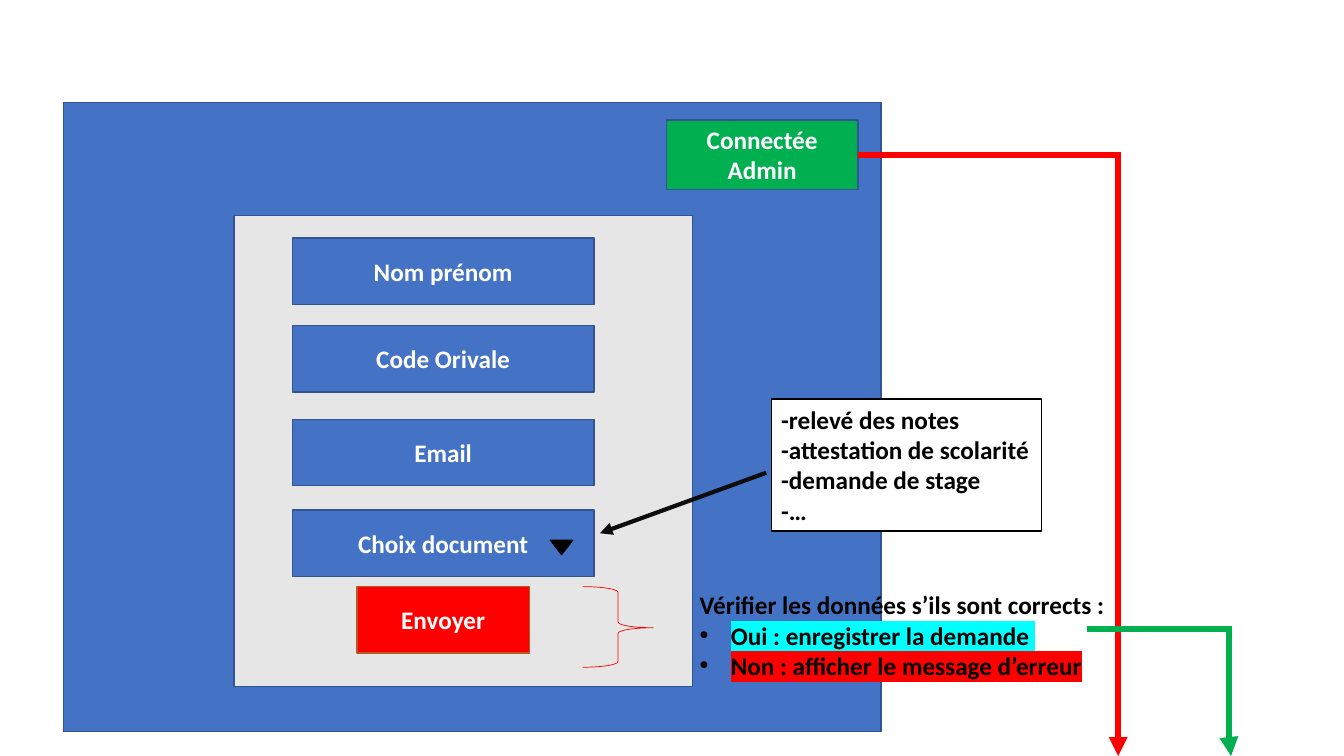
from dataclasses import dataclass

from lxml.etree import SubElement
from pptx import Presentation
from pptx.dml.color import RGBColor
from pptx.enum.shapes import MSO_CONNECTOR, MSO_SHAPE
from pptx.enum.text import MSO_ANCHOR, MSO_AUTO_SIZE, PP_ALIGN
from pptx.oxml.ns import qn
from pptx.util import Emu, Pt

SCALE = 9144  # EMU in one px, at 100 px to the inch


@dataclass(frozen=True)
class Theme:
    font: str = "Calibri"
    size: int = 18
    blue: str = "4472C4"
    edge: str = "325491"
    grey: str = "E7E6E6"
    green: str = "00B050"
    red: str = "FF0000"
    rust: str = "AF5C24"
    cyan: str = "00FFFF"
    white: str = "FFFFFF"
    black: str = "000000"
    ink: str = "0D0D0D"


def px(*nums):
    return [Emu(num * SCALE) for num in nums]


def rgb(code):
    return RGBColor.from_string(code)


def write(para, text, font, size, color, align=PP_ALIGN.LEFT, mark=None, bullet=False):
    """Put one bold run in a paragraph; mark is the highlight colour."""
    para.alignment = align
    run = para.add_run()
    run.text = text
    run.font.name, run.font.size, run.font.bold = font, Pt(size), True
    run.font.color.rgb = rgb(color)
    if mark:
        fill = run.font._element.find(qn("a:solidFill"))
        light = SubElement(run.font._element, qn("a:highlight"))
        SubElement(light, qn("a:srgbClr"), val=mark)
        fill.addnext(light)
    if bullet:
        props = para._p.get_or_add_pPr()
        indent = px(31)[0]
        props.set("marL", str(indent))
        props.set("indent", str(-indent))
        SubElement(props, qn("a:buFont"), typeface="Arial")
        SubElement(props, qn("a:buChar"), char="•")


class Page:
    def __init__(self, slide, theme):
        self.shapes = slide.shapes
        self.theme = theme

    def fill(self, frame, lines, **style):
        """Write each line, a text or a (text, format) pair, as a paragraph."""
        for spot, line in enumerate(lines):
            text, extra = (line, {}) if isinstance(line, str) else line
            para = frame.add_paragraph() if spot else frame.paragraphs[0]
            write(para, text, self.theme.font, self.theme.size, **style, **extra)

    def shape(self, kind, area, fill=None, edge=None, width=1, lines=()):
        form = self.shapes.add_shape(kind, *px(*area))
        form.shadow.inherit = False
        if fill:
            form.fill.solid()
            form.fill.fore_color.rgb = rgb(fill)
        else:
            form.fill.background()
        form.line.color.rgb = rgb(edge or self.theme.edge)
        form.line.width = Pt(width)
        form.text_frame.vertical_anchor = MSO_ANCHOR.MIDDLE
        self.fill(form.text_frame, lines, color=self.theme.white, align=PP_ALIGN.CENTER)
        return form

    def box(self, area, fill, **style):
        return self.shape(MSO_SHAPE.RECTANGLE, area, fill, **style)

    def note(self, area, lines, fill=None):
        """Add a black text box, framed when it has a fill."""
        text = self.shapes.add_textbox(*px(*area))
        if fill:
            text.fill.solid()
            text.fill.fore_color.rgb = rgb(fill)
            text.line.color.rgb = rgb(self.theme.black)
            text.line.width = Pt(1)
        text.text_frame.word_wrap = False
        text.text_frame.auto_size = MSO_AUTO_SIZE.SHAPE_TO_FIT_TEXT
        self.fill(text.text_frame, lines, color=self.theme.black)

    def arrow(self, ends, color, width, bend=None, adjust=None, start=None):
        """Draw an arrow; bend names an elbow preset, start is a (shape, side) pair."""
        kind = MSO_CONNECTOR.ELBOW if bend else MSO_CONNECTOR.STRAIGHT
        link = self.shapes.add_connector(kind, *px(*ends))
        if start:
            link.begin_connect(*start)
        link.line.color.rgb = rgb(color)
        link.line.width = Pt(width)
        props = link._element.spPr
        line = props.find(qn("a:ln"))
        SubElement(line, qn("a:miter"), lim="800000")
        SubElement(line, qn("a:tailEnd"), type="triangle")
        SubElement(props, qn("a:effectLst"))
        if bend:
            geom = props.find(qn("a:prstGeom"))
            geom.set("prst", bend)
            if adjust:
                SubElement(geom.find(qn("a:avLst")), qn("a:gd"),
                           name="adj1", fmla=f"val {adjust}")


def main():
    deck = Presentation()
    deck.slide_width, deck.slide_height = px(1333, 750)
    look = Theme()
    page = Page(deck.slides.add_slide(deck.slide_layouts[6]), look)

    page.box((63, 102, 811, 624), look.blue)
    admin = page.box((661, 119, 190, 69), look.green, lines=["Connectée", "Admin"])
    page.box((232, 214, 455, 467), look.grey)

    fields = {"Nom prénom": 236, "Code Orivale": 323, "Email": 416, "Choix document": 506}
    for name, top in fields.items():
        page.box((290, top, 299, 66), look.blue, lines=[name])
    caret = page.shape(MSO_SHAPE.ISOSCELES_TRIANGLE, (546, 536, 22, 14),
                       look.black, look.black)
    caret.rotation = 180
    page.box((354, 582, 171, 66), look.red, edge=look.rust, lines=["Envoyer"])

    brace = page.shape(MSO_SHAPE.RIGHT_BRACE, (578, 582, 70, 80), edge=look.red, width=0.5)
    brace.adjustments[0], brace.adjustments[1] = 0.08, 0.51
    page.note((684, 580, 430, 101), [
        "Vérifier les données s’ils sont corrects :",
        ("Oui : enregistrer la demande ", {"mark": look.cyan, "bullet": True}),
        ("Non : afficher le message d’erreur", {"mark": look.red, "bullet": True}),
    ])

    page.arrow((851, 154, 1109, 750), look.red, 4.5, "bentConnector2", start=(admin, 3))
    page.arrow((1078, 624, 1221, 750), look.green, 4.5, "bentConnector3", adjust=98700)
    page.arrow((760, 469, 595, 529), look.ink, 3)
    page.note((765, 396, 268, 131), [
        "-relevé des notes", "-attestation de scolarité", "-demande de stage", "-…",
    ], fill=look.white)

    deck.save("out.pptx")


if __name__ == "__main__":
    main()
